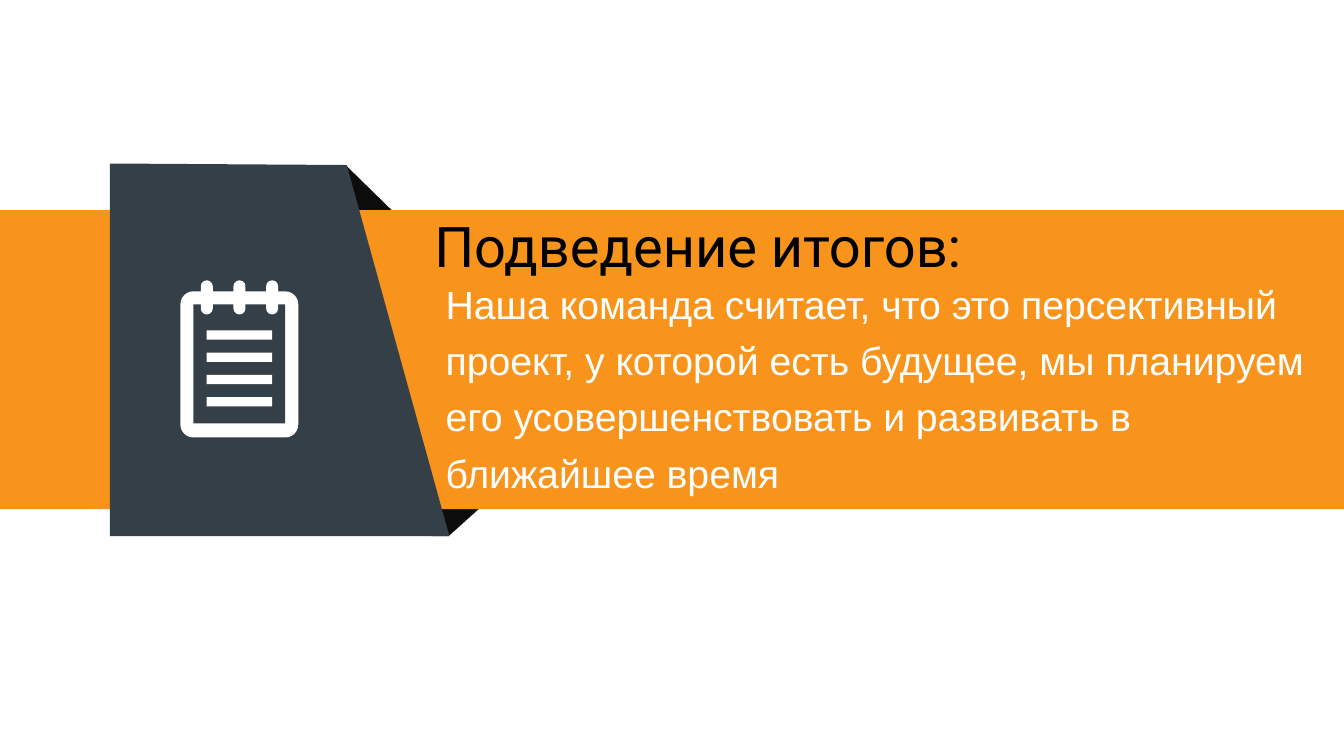
from pptx import Presentation
from pptx.dml.color import RGBColor
from pptx.enum.shapes import MSO_SHAPE
from pptx.enum.text import MSO_ANCHOR
from pptx.util import Pt

ORANGE = RGBColor(0xF8, 0x94, 0x1C)
SLATE = RGBColor(0x35, 0x3F, 0x48)
NIGHT = RGBColor(0x0C, 0x0C, 0x0C)
WHITE = RGBColor(0xFF, 0xFF, 0xFF)
BLACK = RGBColor(0, 0, 0)

TITLE = ["Подведение итогов:"]
BODY = [
    "Наша команда считает, что это персективный",
    "проект, у которой есть будущее, мы планируем",
    "его усовершенствовать и развивать в",
    "ближайшее время",
]


def paint(shape, color):
    shape.shadow.inherit = False
    shape.fill.solid()
    shape.fill.fore_color.rgb = color
    shape.line.fill.background()


def add_block(shapes, kind, box, color, radius=None):
    """Add a plain preset shape; radius is a share of its shorter side."""
    shape = shapes.add_shape(kind, *map(Pt, box))
    if radius is not None:
        shape.adjustments[0] = radius
    paint(shape, color)


def add_outline(shapes, points, color):
    first, *rest = [(Pt(x), Pt(y)) for x, y in points]
    pen = shapes.build_freeform(*first)
    pen.add_line_segments(rest, close=True)
    paint(pen.convert_to_shape(), color)


def add_text(shapes, box, lines, font, size, color, inset=7.2, before=0,
             anchor=MSO_ANCHOR.TOP):
    frame = shapes.add_textbox(*map(Pt, box)).text_frame
    frame.word_wrap = True
    frame.vertical_anchor = anchor
    frame.margin_left = Pt(inset)
    frame.text = "\n".join(lines)
    for line in frame.paragraphs:
        line.line_spacing = 0.9
        line.space_before = Pt(before)
        line.font.name = font
        line.font.size = Pt(size)
        line.font.color.rgb = color


def add_notepad(shapes):
    round_box = MSO_SHAPE.ROUNDED_RECTANGLE
    add_block(shapes, round_box, (128.9, 208.1, 84.2, 104.4), WHITE, 0.11)
    add_block(shapes, MSO_SHAPE.RECTANGLE, (138.2, 217.4, 65.6, 85), SLATE)
    for ring in range(3):
        left = 143.4 + 23.35 * ring
        add_block(shapes, round_box, (left, 200.2, 8.6, 24.4), WHITE, 0.5)
    for row in range(4):
        top = 236 + 15.9 * row
        add_block(shapes, MSO_SHAPE.RECTANGLE, (147.6, top, 46.8, 6.6), WHITE)


def main():
    deck = Presentation()
    deck.slide_width, deck.slide_height = Pt(960), Pt(540)
    shapes = deck.slides.add_slide(deck.slide_layouts[6]).shapes

    low_fold = [(309.6, 362.2), (342, 363.6), (320.4, 383), (308.2, 383)]
    panel = [(78.5, 116.8), (247.7, 117.9), (321, 383), (78.5, 383)]
    add_outline(shapes, low_fold, NIGHT)
    add_block(shapes, MSO_SHAPE.RIGHT_TRIANGLE, (247, 118, 33.1, 32.4), NIGHT)
    add_block(shapes, MSO_SHAPE.RECTANGLE, (0, 150, 960, 213.6), ORANGE)
    add_outline(shapes, panel, SLATE)
    add_notepad(shapes)

    add_text(shapes, (303.1, 149.8, 644.4, 56.2), TITLE, "Roboto", 40, BLACK,
             anchor=MSO_ANCHOR.MIDDLE)
    add_text(shapes, (302.4, 200.2, 645.1, 162.7), BODY, "Arial", 28, WHITE,
             inset=16, before=10)
    deck.save("out.pptx")


if __name__ == "__main__":
    main()
